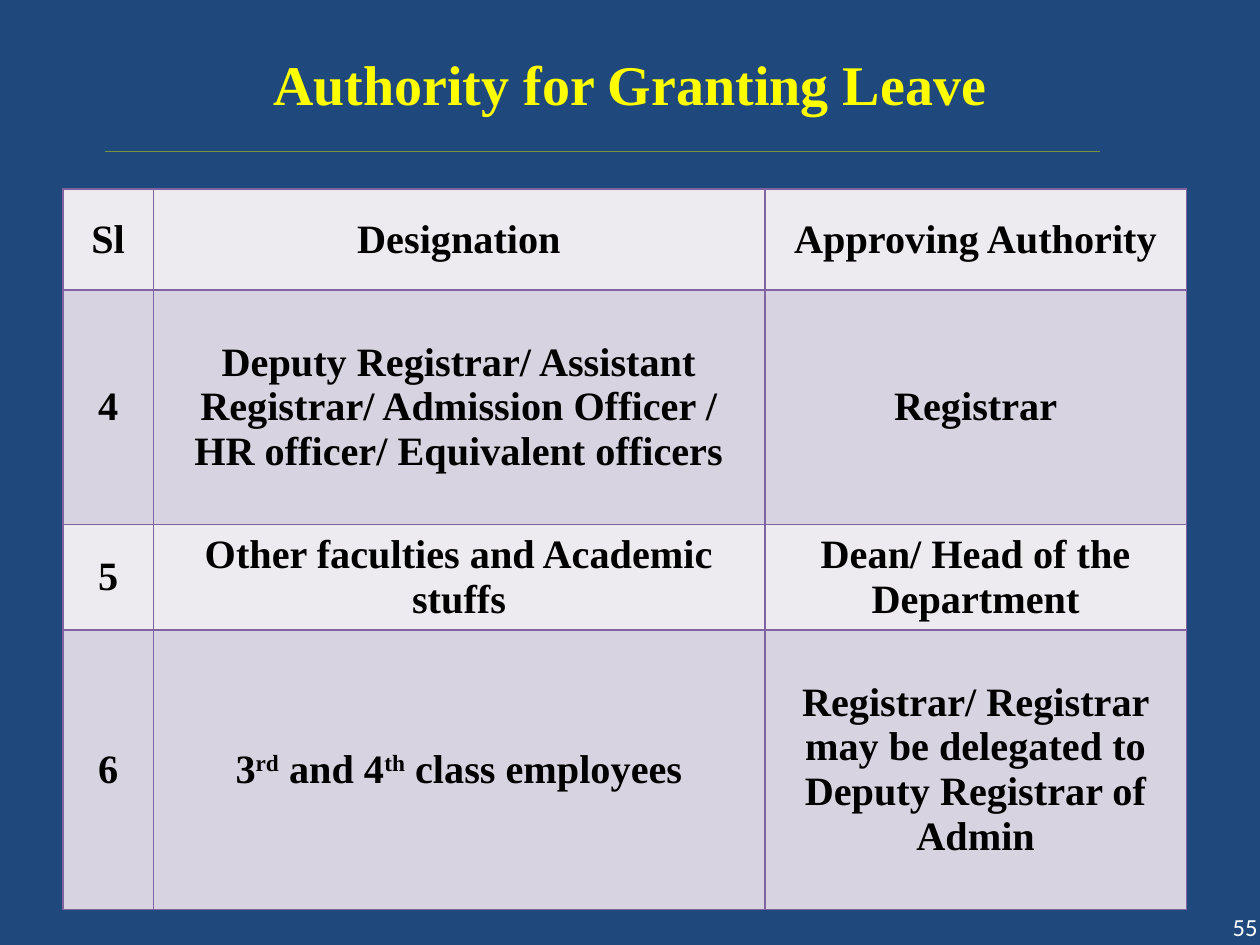
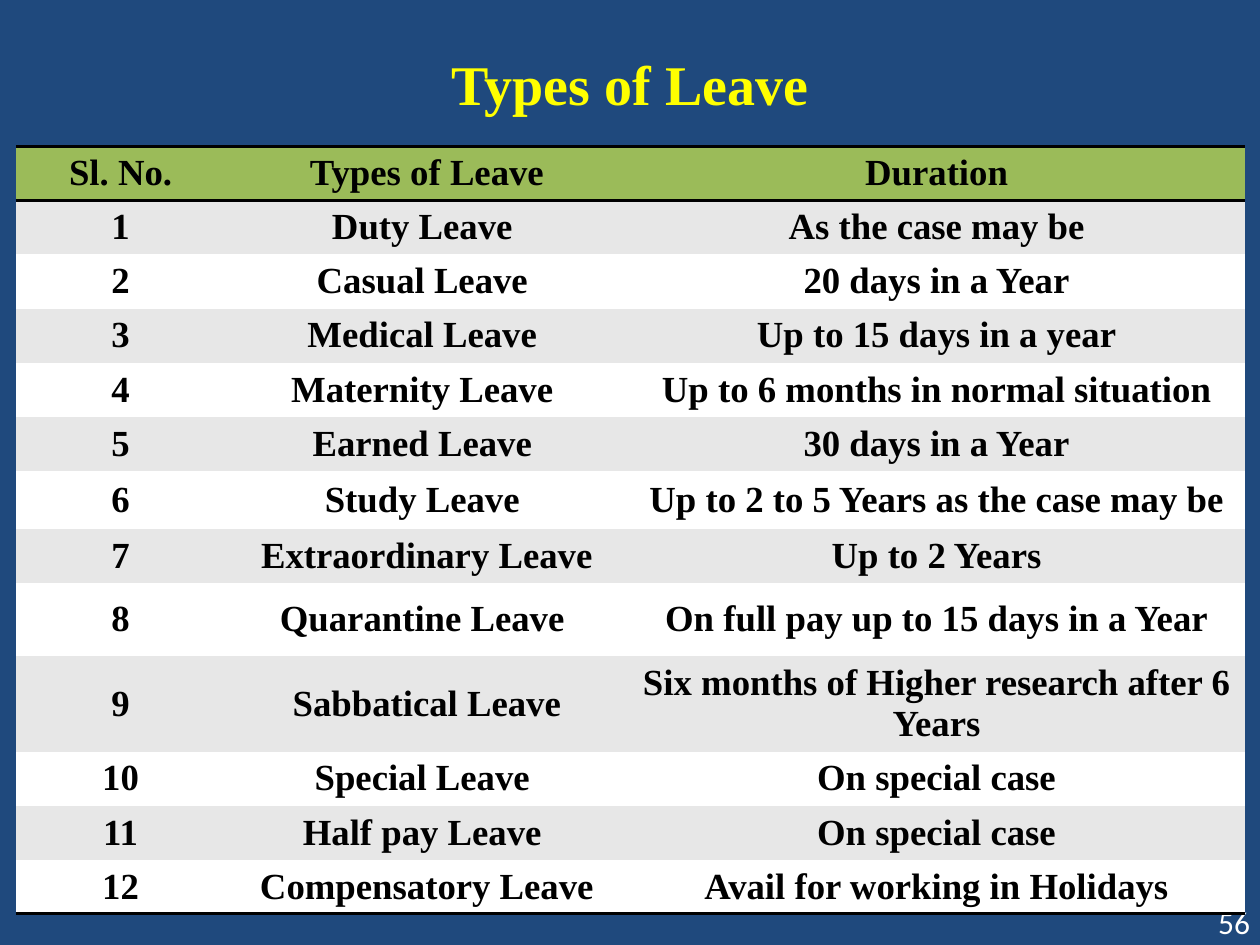
from lxml.etree import SubElement
from pptx import Presentation
from pptx.dml.color import RGBColor
from pptx.enum.shapes import MSO_CONNECTOR
from pptx.enum.text import MSO_ANCHOR, PP_ALIGN
from pptx.oxml.ns import qn
from pptx.util import Cm, Pt

NAVY, YELLOW, WHITE, BLACK = "1F497D", "FFFF00", "FFFFFF", "000000"
OLIVE, GREEN, GREY = "77933C", "9BBB59", "E7E7E7"
PURPLE, LILAC, PALE_LILAC = "8064A2", "D8D3E0", "EDEAF0"
SERIF, SANS = "Times New Roman", "Calibri"
NO_STYLE = "{2D5ABB26-0587-4C30-8999-92F81FD0307C}"


def style_run(run, size, face, colour, bold=True):
    run.font.size = Pt(size)
    run.font.name = face
    run.font.bold = bold
    run.font.color.rgb = RGBColor.from_string(colour)


def add_border(cell, side, colour, width):
    line = SubElement(cell._tc.get_or_add_tcPr(), qn(f"a:ln{side}"), w=str(Pt(width)))
    fill = SubElement(line, qn("a:solidFill"))
    SubElement(fill, qn("a:srgbClr"), val=colour)


# Superscripts stand between carets
authority_rows = [
    ("Sl", "Designation", "Approving Authority"),
    ("4", "Deputy Registrar/ Assistant Registrar/ Admission Officer / HR officer/ Equivalent officers",
     "Registrar"),
    ("5", "Other faculties and Academic stuffs", "Dean/ Head of the Department"),
    ("6", "3^rd^ and 4^th^ class employees",
     "Registrar/ Registrar may be delegated to Deputy Registrar of Admin"),
]
leave_types = [
    ("Duty Leave ", "As the case may be"),
    ("Casual Leave ", "20 days in a Year"),
    ("Medical Leave ", "Up to 15 days in a year"),
    ("Maternity Leave ", "Up to 6 months in normal situation"),
    ("Earned Leave ", "30 days in a Year"),
    ("Study Leave ", "Up to 2 to 5 Years as the case may be"),
    ("Extraordinary Leave", "Up to 2 Years"),
    ("Quarantine Leave ", "On full pay up to 15 days in a Year"),
    ("Sabbatical Leave", "Six months of Higher research after 6 Years"),
    ("Special Leave ", "On special case"),
    ("Half pay Leave ", "On special case"),
    ("Compensatory Leave", "Avail for working in Holidays"),
]
leave_rows = [("Sl. No.", "Types of Leave", "Duration")]
leave_rows += [(str(number), *leave) for number, leave in enumerate(leave_types, 1)]

# Per slide: wording, table geometry, colours and borders (sides by row)
pages = [
    {"title": "Authority for Granting Leave", "rows": authority_rows,
     "corner": (1.27, 3.81), "widths": [1.82, 12.33, 8.5],
     "heights": [2.04, 4.72, 2.13, 5.63], "size": 23,
     "header": PALE_LILAC, "bands": (PALE_LILAC, LILAC),
     "borders": dict.fromkeys(range(4), "LRTB"), "border": (PURPLE, 1),
     "number": "55", "number_box": (24.41, 18.32, 1.19, 0.71), "number_size": 14},
    {"title": "Types of Leave", "rows": leave_rows,
     "corner": (0.32, 2.95), "widths": [4.22, 8.13, 12.42],
     "heights": [1.09] * 6 + [1.17, 1.09, 1.47, 1.93] + [1.09] * 3, "size": 21,
     "header": GREEN, "bands": (WHITE, GREY),
     "borders": {0: "TB", 12: "B"}, "border": (BLACK, 2),
     "number": "56", "number_box": (24.18, 18.11, 1.27, 0.94), "number_size": 18},
]

prs = Presentation()
prs.slide_width, prs.slide_height = Cm(25.4), Cm(19.05)
title_only = prs.slide_layouts[5]

# Shared background
background = prs.slide_master.background.fill
background.solid()
background.fore_color.rgb = RGBColor.from_string(NAVY)

for page in pages:
    slide = prs.slides.add_slide(title_only)

    # Rule under the title, moved to the layout once
    if page is pages[0]:
        rule = slide.shapes.add_connector(MSO_CONNECTOR.STRAIGHT, Cm(2.11), Cm(3.05), Cm(22.17), Cm(3.05))
        rule.line.color.rgb = RGBColor.from_string(OLIVE)
        rule.line.width = Pt(0.75)
        SubElement(rule.element.spPr, qn("a:effectLst"))
        title_only.shapes.element.append(rule.element)

    # Page number
    number = slide.shapes.add_textbox(*map(Cm, page["number_box"])).text_frame
    number.word_wrap = True
    number.vertical_anchor = MSO_ANCHOR.MIDDLE
    number.text = page["number"]
    number.paragraphs[0].alignment = PP_ALIGN.RIGHT
    style_run(number.paragraphs[0].runs[0], page["number_size"], SANS, WHITE, bold=False)

    # Title
    title = slide.shapes.title
    title.left, title.top, title.width, title.height = Cm(2.75), Cm(0.43), Cm(19.9), Cm(2.49)
    title.text_frame.text = page["title"]
    title.text_frame.vertical_anchor = MSO_ANCHOR.MIDDLE
    heading = title.text_frame.paragraphs[0]
    heading.alignment = PP_ALIGN.CENTER
    style_run(heading.runs[0], 32, SERIF, YELLOW)

    # Table grid
    widths, heights = page["widths"], page["heights"]
    frame = slide.shapes.add_table(len(heights), len(widths), *map(Cm, page["corner"]),
                                   Cm(sum(widths)), Cm(sum(heights)))
    table = frame.table
    table.first_row = table.horz_banding = False
    frame.element.find(".//" + qn("a:tableStyleId")).text = NO_STYLE
    for column, width in zip(table.columns, widths):
        column.width = Cm(width)
    for row, height in zip(table.rows, heights):
        row.height = Cm(height)

    # Table cells, with slim margins that keep the row heights
    for r, entries in enumerate(page["rows"]):
        for c, entry in enumerate(entries):
            cell = table.cell(r, c)
            for side in page["borders"].get(r, ""):
                add_border(cell, side, *page["border"])
            cell.fill.solid()
            cell.fill.fore_color.rgb = RGBColor.from_string(page["bands"][r % 2] if r else page["header"])
            cell.vertical_anchor = MSO_ANCHOR.MIDDLE
            cell.margin_top = cell.margin_bottom = Cm(0.05)
            paragraph = cell.text_frame.paragraphs[0]
            paragraph.alignment = PP_ALIGN.CENTER
            for part, words in enumerate(entry.split("^")):
                run = paragraph.add_run()
                run.text = words
                style_run(run, page["size"], SERIF, BLACK)
                if part % 2:
                    run._r.get_or_add_rPr().set("baseline", "30000")

prs.save("out.pptx")
